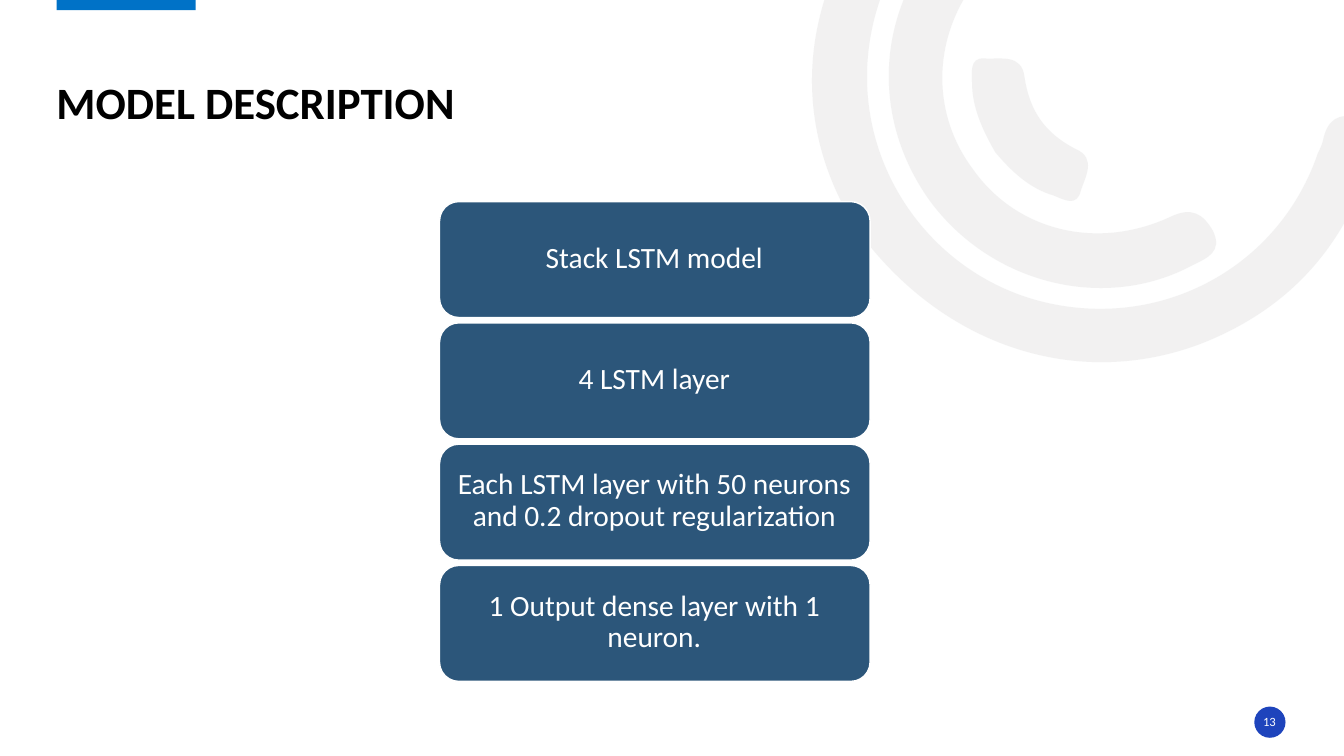
from dataclasses import dataclass
from math import cos, radians, sin

from lxml import etree
from pptx import Presentation
from pptx.dml.color import RGBColor
from pptx.enum.shapes import MSO_SHAPE
from pptx.enum.text import MSO_ANCHOR, MSO_AUTO_SIZE, PP_ALIGN
from pptx.oxml.ns import qn
from pptx.shapes.autoshape import Shape
from pptx.slide import Slide
from pptx.util import Inches, Pt

RECTANGLE, ROUNDED, OVAL = MSO_SHAPE.RECTANGLE, MSO_SHAPE.ROUNDED_RECTANGLE, MSO_SHAPE.OVAL
LEFT, CENTER = PP_ALIGN.LEFT, PP_ALIGN.CENTER
MIDDLE, BOTTOM = MSO_ANCHOR.MIDDLE, MSO_ANCHOR.BOTTOM

FONT = "Calibri"
COLORS = {"arc": "E7E6E6", "tab": "0072C7", "badge": "1E44BC",
          "layer": "2C567A", "white": "FFFFFF", "black": "000000"}
ARC_OPACITY = 53
ARC_ROTATION = 144.2

Curve = tuple[float, float, float, float, float, float]


@dataclass(frozen=True)
class Box:
    left: float
    top: float
    width: float
    height: float

    def lengths(self) -> tuple[int, int, int, int]:
        return Inches(self.left), Inches(self.top), Inches(self.width), Inches(self.height)


@dataclass(frozen=True)
class Arc:
    """A closed outline on the page: a start, then control, control, end per curve."""
    box: Box
    start: tuple[float, float]
    curves: list[Curve]


@dataclass(frozen=True)
class TextStyle:
    size: float
    color: str
    align: PP_ALIGN = CENTER
    anchor: MSO_ANCHOR = MIDDLE
    inset_x: float = 0
    inset_y: float = 0
    bold: bool = False
    spacing: float = 0.9


ARCS = [
    Arc(Box(8.13, -2.02, 4.85, 6), (8.51, 2.29), [
        (7.99, 1.49, 7.87, 0.5, 8.38, -0.5), (8.9, -1.52, 9.76, -2.03, 10.9, -2.07),
        (11.05, -2.07, 11.21, -2.1, 11.31, -1.95), (11.44, -1.75, 11.27, -1.54, 10.98, -1.54),
        (9.67, -1.54, 8.65, -0.59, 8.6, 0.68), (8.56, 1.81, 9.36, 2.81, 10.46, 3.02),
        (11.6, 3.24, 12.7, 2.61, 13.07, 1.52), (13.09, 1.48, 13.11, 1.44, 13.12, 1.4),
        (13.16, 1.19, 13.27, 1.11, 13.49, 1.17), (13.73, 1.24, 13.67, 1.41, 13.61, 1.56),
        (13.34, 2.45, 12.78, 3.07, 11.91, 3.41), (10.7, 3.87, 9.36, 3.45, 8.51, 2.29)]),
    Arc(Box(9.01, -0.78, 2.13, 4.26), (9.22, 1.99), [
        (8.62, 1.15, 8.69, 0.07, 9.4, -0.68), (9.51, -0.79, 9.62, -0.95, 9.8, -0.78),
        (9.95, -0.64, 9.97, -0.5, 9.79, -0.32), (9.25, 0.26, 9.2, 1.08, 9.65, 1.68),
        (10.08, 2.29, 10.88, 2.49, 11.61, 2.15), (11.82, 2.05, 11.93, 2.12, 12.03, 2.29),
        (12.13, 2.5, 11.97, 2.56, 11.83, 2.63), (10.96, 3.1, 9.83, 2.82, 9.22, 1.99)]),
    Arc(Box(9.8, 0.37, 0.78, 1.83), (9.87, 1.51), [
        (9.75, 1.3, 9.64, 1.07, 9.64, 0.82), (9.64, 0.73, 9.61, 0.57, 9.76, 0.58),
        (9.92, 0.59, 10.13, 0.53, 10.16, 0.76), (10.21, 1.1, 10.36, 1.32, 10.67, 1.48),
        (10.88, 1.57, 10.76, 1.76, 10.72, 1.89), (10.68, 2.06, 10.55, 1.98, 10.45, 1.94),
        (10.21, 1.87, 10.03, 1.7, 9.87, 1.51)]),
]

LAYERS = [
    "Stack LSTM model",
    "4 LSTM layer",
    "Each LSTM layer with 50 neurons and 0.2 dropout regularization",
    "1 Output dense layer with 1 neuron.",
]
FIRST_TOP, LAST_TOP = 2, 5.61

TITLE_STYLE = TextStyle(32, "black", LEFT, BOTTOM, bold=True)
LAYER_STYLE = TextStyle(21, "white", inset_x=0.09, inset_y=0.04)
NUMBER_STYLE = TextStyle(9, "white", spacing=1)


def color(name: str) -> RGBColor:
    return RGBColor.from_string(COLORS[name])


def paint(shape: Shape, fill: str, line: str | None = None) -> None:
    shape.shadow.inherit = False
    shape.fill.solid()
    shape.fill.fore_color.rgb = color(fill)
    if line:
        shape.line.color.rgb = color(line)
        shape.line.width = Pt(1)
    else:
        shape.line.fill.background()


def add_box(page: Slide, kind: MSO_SHAPE, box: Box, fill: str, line: str | None = None) -> Shape:
    shape = page.shapes.add_shape(kind, *box.lengths())
    paint(shape, fill, line)
    return shape


def write(shape: Shape, text: str, style: TextStyle) -> None:
    frame = shape.text_frame
    frame.text = text
    frame.word_wrap = True
    frame.auto_size = MSO_AUTO_SIZE.NONE
    frame.vertical_anchor = style.anchor
    frame.margin_left = frame.margin_right = Inches(style.inset_x)
    frame.margin_top = frame.margin_bottom = Inches(style.inset_y)
    para = frame.paragraphs[0]
    para.alignment = style.align
    para.line_spacing = style.spacing
    para.font.name = FONT
    para.font.size = Pt(style.size)
    para.font.bold = style.bold
    para.font.color.rgb = color(style.color)


def add_text(page: Slide, box: Box, text: str, style: TextStyle) -> None:
    write(page.shapes.add_textbox(*box.lengths()), text, style)


def add_point(parent: etree._Element, box: Box, x: float, y: float) -> None:
    """Turn a page position back into the unrotated frame of the arc."""
    angle = radians(ARC_ROTATION)
    dx, dy = x - box.left - box.width / 2, y - box.top - box.height / 2
    local_x = dx * cos(angle) + dy * sin(angle) + box.width / 2
    local_y = dy * cos(angle) - dx * sin(angle) + box.height / 2
    etree.SubElement(parent, qn("a:pt"), x=str(Inches(local_x)), y=str(Inches(local_y)))


def add_arc(page: Slide, arc: Arc) -> None:
    left, top, width, height = arc.box.lengths()
    builder = page.shapes.build_freeform(left, top)
    builder.add_line_segments([(left + width, top), (left + width, top + height)])
    shape = builder.convert_to_shape()
    shape.rotation = ARC_ROTATION
    paint(shape, "arc")
    fill_color = next(shape._element.spPr.iter(qn("a:solidFill")))[0]
    etree.SubElement(fill_color, qn("a:alpha"), val=str(ARC_OPACITY * 1000))

    # Cubic curves take the place of the frame's straight segments
    outline = next(shape._element.iter(qn("a:path")))
    for segment in list(outline):
        outline.remove(segment)
    add_point(etree.SubElement(outline, qn("a:moveTo")), arc.box, *arc.start)
    for curve in arc.curves:
        bezier = etree.SubElement(outline, qn("a:cubicBezTo"))
        for x, y in zip(curve[::2], curve[1::2]):
            add_point(bezier, arc.box, x, y)
    etree.SubElement(outline, qn("a:close"))


def main() -> None:
    deck = Presentation()
    deck.slide_width, deck.slide_height = Inches(13.33), Inches(7.5)
    page = deck.slides.add_slide(deck.slide_layouts[5])

    # Background arcs and top tab
    for arc in ARCS:
        add_arc(page, arc)
    tab = add_box(page, RECTANGLE, Box(0.56, -0.02, 1.38, 0.12), "tab")
    tab.rotation = 180

    # Page number badge
    add_box(page, OVAL, Box(12.44, 7.01, 0.31, 0.31), "badge")
    add_text(page, Box(12.43, 7.06, 0.32, 0.2), "13", NUMBER_STYLE)

    # Title
    title = page.shapes.title
    title.left, title.top, title.width, title.height = Box(0.56, 0.27, 12.19, 1.01).lengths()
    write(title, "MODEL DESCRIPTION", TITLE_STYLE)

    # Stack of model layers
    pitch = (LAST_TOP - FIRST_TOP) / (len(LAYERS) - 1)
    for row, text in enumerate(LAYERS):
        top = FIRST_TOP + row * pitch
        add_box(page, ROUNDED, Box(4.36, top, 4.27, 1.15), "layer", "white")
        add_text(page, Box(4.41, top + 0.05, 4.16, 1.03), text, LAYER_STYLE)

    deck.save("out.pptx")


if __name__ == "__main__":
    main()
